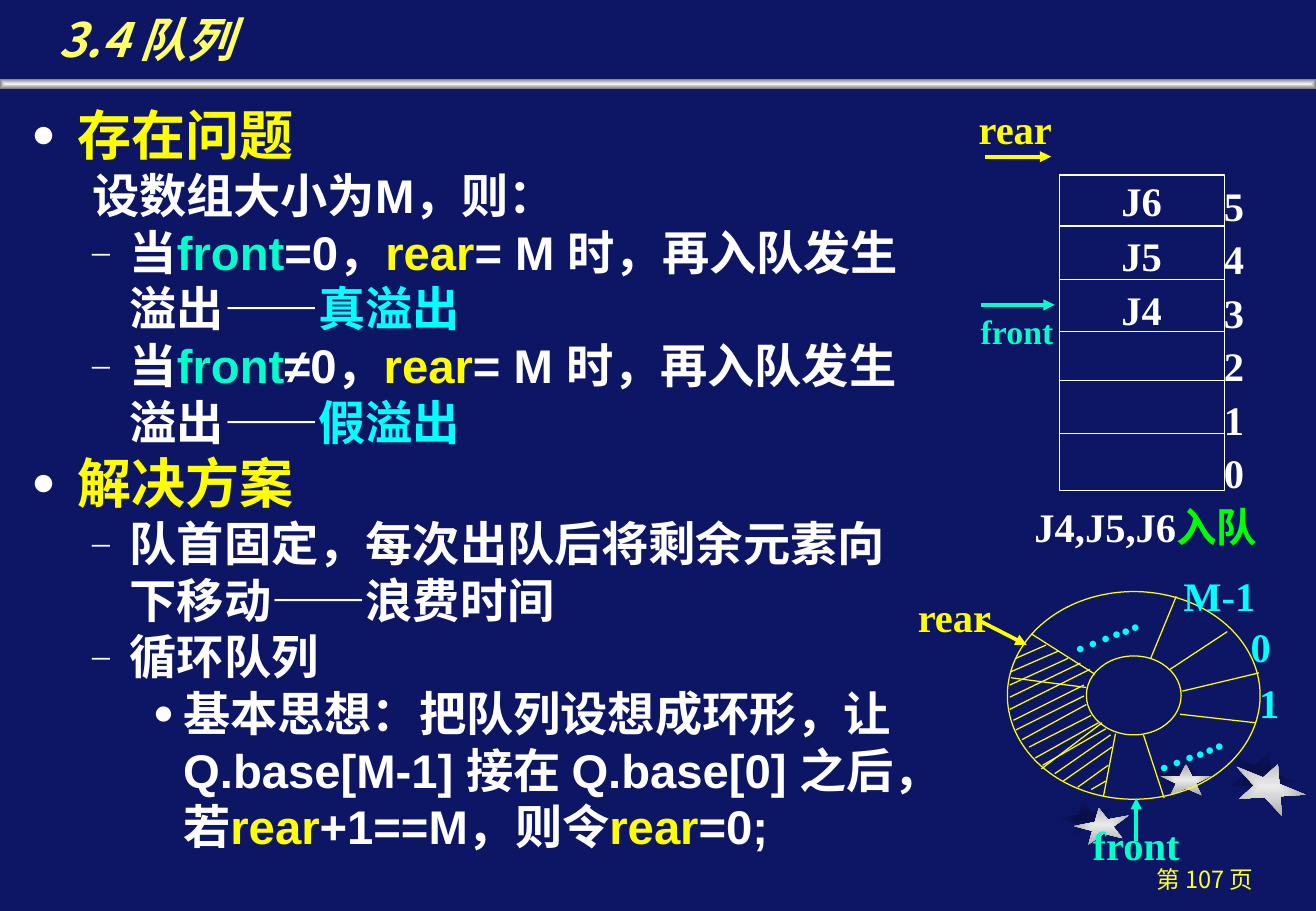
import pptx
import pptx.dml.color
import pptx.enum.shapes
import pptx.enum.text
import pptx.oxml
import pptx.oxml.ns
import pptx.util

PX = 9144
SANS, SERIF, CJK = "Arial", "Times New Roman", "Noto Sans CJK SC"
EAST_ASIAN = {SANS: CJK, SERIF: SANS, CJK: CJK}
COLORS = {
    "background": "0D1565", "shade": "090F48", "white": "FFFFFF",
    "yellow": "FFFF00", "title": "FFFF66", "page": "FFFF25",
    "teal": "00FFCC", "cyan": "00FFFF", "green": "00FF00",
    "silver": "EAEAEA", "steel": "A7A7A7", "bright": "F2F2F2", "gray": "808080",
}
SHAPES = pptx.enum.shapes.MSO_SHAPE
ALIGN = pptx.enum.text.PP_ALIGN
ANCHOR = pptx.enum.text.MSO_ANCHOR
qn = pptx.oxml.ns.qn


def rgb(name):
    return pptx.dml.color.RGBColor.from_string(COLORS[name])


def append_xml(parent, tag, attributes="", content=""):
    namespace = 'xmlns:a="http://schemas.openxmlformats.org/drawingml/2006/main"'
    element = pptx.oxml.parse_xml(f"<a:{tag} {namespace} {attributes}>{content}</a:{tag}>")
    parent.append(element)


def place(box, left, top, width, height):
    return [PX * value for value in (box[0] + left, box[1] + top, width, height)]


def style_font(paragraph, size, color, typeface, bold=True, italic=False):
    font = paragraph.font
    font.size = pptx.util.Pt(size)
    font.bold, font.italic = bold, italic
    font.color.rgb = rgb(color)
    font.name = typeface
    append_xml(paragraph._p.pPr.find(qn("a:defRPr")), "ea",
               f'typeface="{EAST_ASIAN[typeface]}"')


def add_runs(paragraph, runs):
    for text, color in runs:
        run = paragraph.add_run()
        run.text = text
        if color:
            run.font.color.rgb = rgb(color)


def add_label(slide, box, frame, runs, color, size=24, typeface=SERIF, wrap=False,
              align=ALIGN.CENTER, anchor=ANCHOR.MIDDLE, bold=True, italic=False, rotation=0):
    shape = slide.shapes.add_textbox(*place(box, *frame))
    shape.rotation = rotation
    text_frame = shape.text_frame
    text_frame.word_wrap = wrap
    text_frame.vertical_anchor = anchor
    paragraph = text_frame.paragraphs[0]
    paragraph.alignment = align
    style_font(paragraph, size, color, typeface, bold, italic)
    add_runs(paragraph, [(runs, None)] if isinstance(runs, str) else runs)


def add_line(slide, box, points, color, arrow=False):
    x1, y1, x2, y2 = points
    line = slide.shapes.add_connector(
        pptx.enum.shapes.MSO_CONNECTOR.STRAIGHT,
        *place(box, x1, y1, 0, 0)[:2], *place(box, x2, y2, 0, 0)[:2])
    line.line.color.rgb = rgb(color)
    line.line.width = pptx.util.Pt(2.25 if arrow else 0.75)
    if arrow:
        append_xml(line.line._get_or_add_ln(), "tailEnd", 'type="triangle"')
    append_xml(line._element.spPr, "effectLst")


def add_outline(slide, box, frame, kind, color):
    shape = slide.shapes.add_shape(kind, *place(box, *frame))
    shape.shadow.inherit = False
    shape.fill.background()
    shape.line.color.rgb = rgb(color)
    shape.line.width = pptx.util.Pt(0.75)


def add_glow(slide, box, frame, kind, center, edge, rotation=0):
    shape = slide.shapes.add_shape(kind, *place(box, *frame))
    shape.shadow.inherit = False
    shape.rotation = rotation
    shape.line.fill.background()
    shape.fill.gradient()
    for stop, color, position in zip(shape.fill.gradient_stops, (center, edge), (0, 1)):
        stop.color.rgb = rgb(color)
        stop.position = position
    gradient = shape._element.spPr.find(qn("a:gradFill"))
    gradient.remove(gradient.find(qn("a:lin")))
    append_xml(gradient, "path", 'path="shape"',
               '<a:fillToRect l="50000" t="50000" r="50000" b="50000"/>')


def draw_stars(slide, box):
    layers = [
        ("shade", "background", ((0, 41), (76, 6), (136, 0))),
        ("silver", "steel", ((13, 47), (84, 11), (143, 10))),
    ]
    sizes = ((46, 28, 349), (42, 26, 0), (61, 38, 22))
    for center, edge, corners in layers:
        for corner, (width, height, rotation) in zip(corners, sizes):
            add_glow(slide, box, (*corner, width, height), SHAPES.STAR_5_POINT,
                     center, edge, rotation)


def draw_header(slide, box):
    add_glow(slide, box, (0, 65, box[2], 8), SHAPES.RECTANGLE, "bright", "gray")
    add_label(slide, box, (38, 0, 1016, 60), "3.4 队列", "title", 28, CJK, wrap=True,
              align=ALIGN.LEFT, anchor=ANCHOR.BOTTOM, italic=True)


def draw_outline_text(slide, box):
    def overflow(condition, result):
        return [("当", None), ("front", "teal"), (condition + "，", None), ("rear", "yellow"),
                ("= M 时，再入队发生溢出——", None), (result, "cyan")]

    levels = {
        "heading": (38, 38, "●", 32, 38.2, "yellow"),
        "plain": (81, 31, None, 28, 33.6, "white"),
        "dash": (81, 31, "–", 28, 33.6, "white"),
        "detail": (125, 25, "●", 28, 33.6, "white"),
    }
    items = [
        ("heading", [("存在问题", None)]),
        ("plain", [("设数组大小为M，则：", None)]),
        ("dash", overflow("=0", "真溢出")),
        ("dash", overflow("≠0", "假溢出")),
        ("heading", [("解决方案", None)]),
        ("dash", [("队首固定，每次出队后将剩余元素向下移动——浪费时间", None)]),
        ("dash", [("循环队列", None)]),
        ("detail", [("基本思想：把队列设想成环形，让 Q.base[M-1] 接在 Q.base[0] 之后，若", None),
                    ("rear", "yellow"), ("+1==M，则令", None), ("rear", "yellow"), ("=0;", None)]),
    ]
    text_frame = slide.shapes.add_textbox(*place(box, 0, 0, *box[2:])).text_frame
    text_frame.word_wrap = True
    for index, (level, runs) in enumerate(items):
        margin, hanging, bullet, size, pitch, color = levels[level]
        paragraph = text_frame.add_paragraph() if index else text_frame.paragraphs[0]
        paragraph.line_spacing = pptx.util.Pt(pitch)
        properties = paragraph._p.get_or_add_pPr()
        properties.set("marL", str(margin * PX))
        properties.set("indent", str(-hanging * PX))
        if bullet:
            append_xml(properties, "buClr", "", f'<a:srgbClr val="{COLORS["white"]}"/>')
            append_xml(properties, "buSzPct", 'val="75000"')
            append_xml(properties, "buFont", f'typeface="{SERIF}"')
            append_xml(properties, "buChar", f'char="{bullet}"')
        else:
            append_xml(properties, "buNone")
        style_font(paragraph, size, color, SANS)
        add_runs(paragraph, runs)


def draw_array_queue(slide, box):
    width, height = box[2:]
    rows = 6
    add_line(slide, box, (-61, -15, -7, -15), "yellow", arrow=True)
    add_label(slide, box, (-77, -63, 81, 50), "rear", "yellow")
    add_outline(slide, box, (0, 0, width, height), SHAPES.RECTANGLE, "white")
    for y in (42, 86, 129, 169, 213):
        add_line(slide, box, (0, y, width, y), "white")
    for row in range(rows):
        add_label(slide, box, (125, 44 * row, 37, 50), str(rows - 1 - row), "white")
    for row, job in enumerate(("J6", "J5", "J4")):
        add_label(slide, box, (41, 45 * row - 4, 53, 50), job, "white")
    add_label(slide, box, (-31, 264, 204, 50), [("J4,J5,J6", None), ("入队", "green")],
              "white", wrap=True)
    add_line(slide, box, (-65, 107, -4, 107), "teal", arrow=True)
    add_label(slide, box, (-75, 107, 80, 43), "front", "teal", 20)


def draw_ring_queue(slide, box):
    spokes = [
        (112, 118, 129, 170), (89, 117, 79, 169), (78, 108, 28, 146),
        (72, 68, 20, 35), (139, 4, 118, 55), (134, 64, 181, 33),
        (144, 82, 207, 67), (142, 101, 204, 108), (65, 79, 3, 71),
    ]
    hatching = [
        (7, 55, 32, 44), (3, 66, 42, 49), (2, 77, 50, 55), (2, 87, 60, 59),
        (2, 97, 68, 64), (5, 106, 63, 77), (7, 114, 63, 86), (12, 122, 65, 93),
        (18, 128, 69, 102), (23, 137, 75, 108), (29, 143, 81, 113), (39, 150, 85, 118),
        (46, 156, 86, 128), (58, 161, 83, 143), (69, 163, 81, 156),
    ]
    labels = [
        ("0", 190, 20, 37, "cyan", 0), ("M-1", 135, -22, 79, "cyan", 0),
        ("1", 197, 66, 37, "cyan", 0), ("front", 60, 183, 92, "teal", 0),
        ("rear", -84, -5, 81, "yellow", 0),
        ("…...", 39, 4, 78, "cyan", 338.4), ("…...", 108, 102, 78, "cyan", 338.4),
    ]
    for frame in ((0, 0, *box[2:]), (65, 53, 78, 65)):
        add_outline(slide, box, frame, SHAPES.OVAL, "yellow")
    for points in spokes + hatching:
        add_line(slide, box, points, "yellow")
    add_line(slide, box, (106, 205, 106, 170), "teal", arrow=True)
    add_line(slide, box, (-23, 24, 16, 44), "yellow", arrow=True)
    for text, left, top, width, color, rotation in labels:
        add_label(slide, box, (left, top, width, 50), text, color, rotation=rotation)


def draw_page_number(slide, box):
    add_label(slide, box, (0, 0, *box[2:]), "第 107 页", "page", 14, CJK, wrap=True, bold=False)


def main():
    presentation = pptx.Presentation()
    presentation.slide_width, presentation.slide_height = 1083 * PX, 750 * PX
    slide = presentation.slides.add_slide(presentation.slide_layouts[6])
    slide.background.fill.solid()
    slide.background.fill.fore_color.rgb = rgb("background")
    draw_stars(slide, (871, 618, 204, 75))
    draw_page_number(slide, (900, 707, 183, 33))
    draw_header(slide, (0, 0, 1083, 73))
    draw_outline_text(slide, (16, 79, 757, 641))
    draw_array_queue(slide, (872, 144, 136, 260))
    draw_ring_queue(slide, (829, 487, 208, 171))
    presentation.save("out.pptx")


if __name__ == "__main__":
    main()
